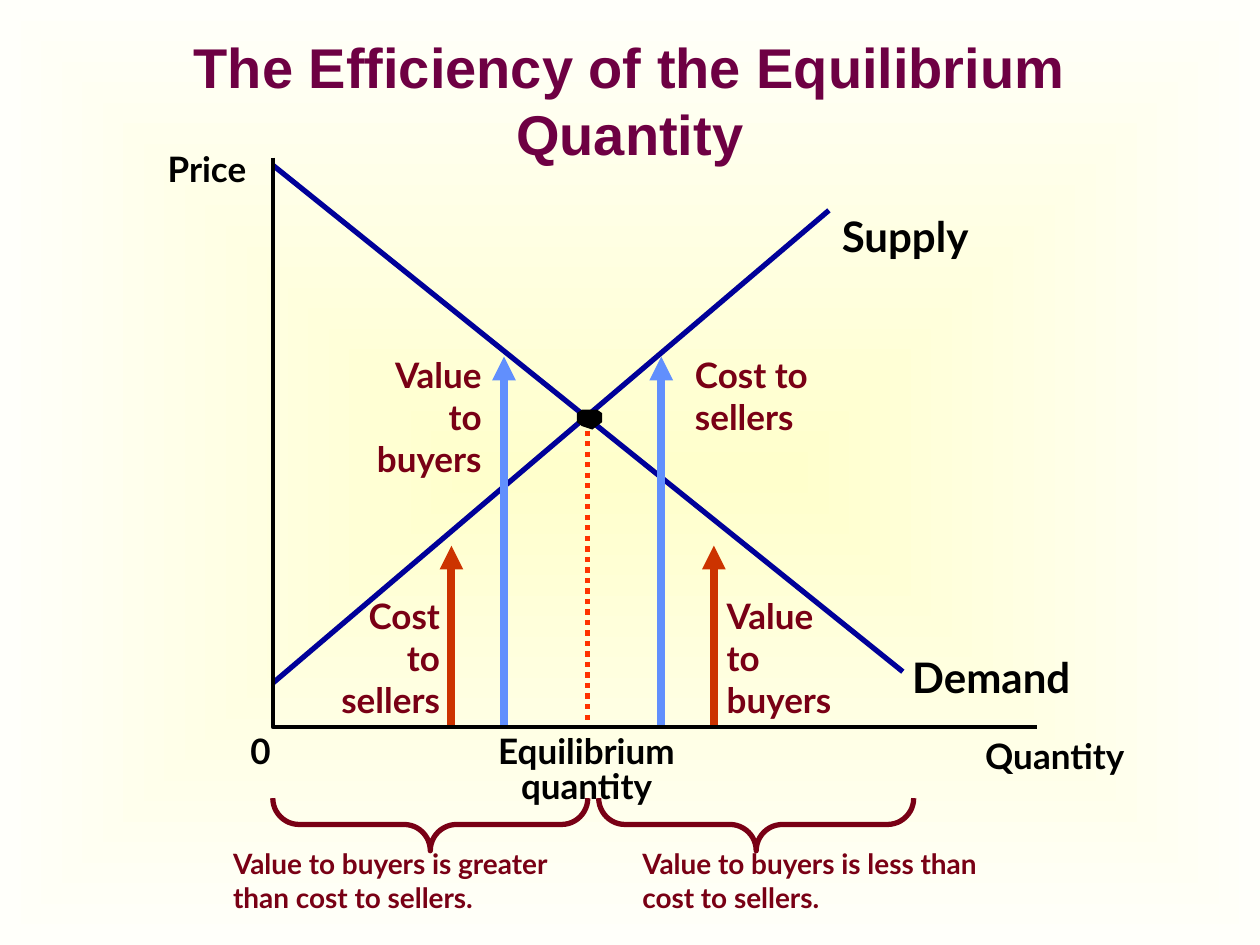
from lxml import etree
from pptx import Presentation
from pptx import util as u
from pptx.dml import color
from pptx.enum import dml, shapes, text
from pptx.oxml import ns

COLOURS = {
    "centre": "FFFFCC", "edge": "FFFFFA", "title": "6E0043", "black": "000000",
    "curve": "000099", "dotted": "FF3300", "tall": "618FFD", "short": "CC3300",
    "maroon": "790015",
}
ALIGN = text.PP_ALIGN


def rgb(name):
    """Return the named colour."""
    return color.RGBColor.from_string(COLOURS[name])


def add_child(parent, tag, **attributes):
    """Append a drawing element to the parent and return it."""
    return etree.SubElement(parent, ns.qn(tag), attributes)


def add_text(page, words, box, size=20, colour="black", font="Lato", align=ALIGN.LEFT,
             anchor=text.MSO_ANCHOR.TOP, insets=(0, 0, 0, 0), wrap=False, spacing=None):
    """Add bold text in a box of left, top, width and height in cm."""
    label = page.shapes.add_textbox(*map(u.Cm, box))
    frame = label.text_frame
    frame.word_wrap = wrap
    frame.vertical_anchor = anchor
    frame.margin_left, frame.margin_top, frame.margin_right, frame.margin_bottom = map(u.Cm, insets)
    for number, line in enumerate(words.split("\n")):
        para = frame.add_paragraph() if number else frame.paragraphs[0]
        para.alignment = align
        para.line_spacing = spacing
        span = para.add_run()
        span.text = line
        span.font.name, span.font.size, span.font.bold = font, u.Pt(size), True
        span.font.color.rgb = rgb(colour)


def add_line(page, start, end, colour, width, dash=None, arrow=False):
    """Add a straight line between two points in cm."""
    line = page.shapes.add_connector(
        shapes.MSO_CONNECTOR.STRAIGHT, *map(u.Cm, (*start, *end)))
    line.line.color.rgb = rgb(colour)
    line.line.width = u.Pt(width)
    if dash:
        line.line.dash_style = dash
    properties = line._element.spPr
    if arrow:
        add_child(properties.find(ns.qn("a:ln")), "a:tailEnd", type="triangle")
    add_child(properties, "a:effectLst")


def add_outline(page, points, closed):
    """Add a black freeform through points in cm, filled when closed."""
    start, *others = [(u.Cm(x), u.Cm(y)) for x, y in points]
    builder = page.shapes.build_freeform(*start)
    builder.add_line_segments(others, close=closed)
    outline = builder.convert_to_shape()
    outline.shadow.inherit = False
    if closed:
        outline.fill.solid()
        outline.fill.fore_color.rgb = rgb("black")
        outline.line.fill.background()
    else:
        outline.fill.background()
        outline.line.color.rgb = rgb("black")
        outline.line.width = u.Pt(2.25)


def paint_background(page):
    """Fill the page with a gradient that spreads from its centre."""
    fill = page.background.fill
    fill.gradient()
    for stop, name in zip(fill.gradient_stops, ("centre", "edge")):
        stop.color.rgb = rgb(name)
    gradient = page._element.find(".//" + ns.qn("a:gradFill"))
    gradient.remove(gradient.find(ns.qn("a:lin")))
    route = add_child(gradient, "a:path", path="rect")
    add_child(route, "a:fillToRect", l="50000", t="50000", r="50000", b="50000")


def draw_graph(page, left, top):
    """Draw axes, curves, arrows and labels from the top of the price axis."""
    def at(x, y):
        return left + x, top + y

    for words, x, y, width, size in (
            ("Price", -2.12, -0.21, 1.75, 20), ("0", -0.45, 11.53, 0.41, 20),
            ("Quantity", 14.36, 11.63, 3.15, 20), ("Supply", 11.47, 1.06, 2.84, 24),
            ("Demand", 12.89, 9.95, 3.56, 24)):
        add_text(page, words, (*at(x, y), width, size * 0.042), size=size)
    add_text(page, "Equilibrium\nquantity", (*at(4.28, 11.65), 4.09, 1.45),
             align=ALIGN.CENTER, spacing=0.85)

    add_line(page, at(0, 10.59), at(11.21, 1.06), "curve", 3)
    add_line(page, at(0, 0.15), at(12.7, 10.36), "curve", 3)
    add_outline(page, [at(0, 0), at(0, 11.48), at(15.4, 11.48)], closed=False)
    dot = ((6.44, 5.48), (6.64, 5.33), (6.64, 5.15), (6.54, 5.08), (6.23, 5.08),
           (6.13, 5.15), (6.13, 5.33), (6.23, 5.41))
    add_outline(page, [at(*point) for point in dot], closed=True)

    foot = 11.43
    add_line(page, at(6.35, 5.5), at(6.35, foot), "dotted", 3, dash=dml.MSO_LINE.ROUND_DOT)
    for x, head, colour in ((4.66, 4.01, "tall"), (7.83, 4.01, "tall"),
                            (3.6, 7.82, "short"), (8.89, 7.82, "short")):
        add_line(page, at(x, foot), at(x, head), colour, 4.5, arrow=True)

    for words, x, y, align, indent in (
            ("Cost to sellers", 8.26, 3.81, ALIGN.LEFT, 0.25),
            ("Value to buyers", 8.9, 8.68, ALIGN.LEFT, 0.25),
            ("Value to buyers", 1.49, 3.81, ALIGN.RIGHT, 0.25),
            ("Cost to sellers", 0.65, 8.68, ALIGN.RIGHT, 0.55)):
        add_text(page, words, (*at(x, y), 2.97, 2.79), colour="maroon", align=align,
                 insets=(indent, 0.13, 0.25, 0.13), wrap=True)


def draw_range(page, left, top, words, note_left):
    """Draw a brace that points down at a note."""
    depth, span = 1.06, 6.35
    brace = page.shapes.add_shape(
        shapes.MSO_SHAPE.LEFT_BRACE, u.Cm(left + (span - depth) / 2),
        u.Cm(top + (depth - span) / 2), u.Cm(depth), u.Cm(span))
    brace.rotation = 270
    brace.adjustments[0] = 0.5
    brace.shadow.inherit = False
    brace.fill.background()
    brace.line.color.rgb = rgb("maroon")
    brace.line.width = u.Pt(3)
    add_text(page, words, (note_left, top + 0.85, 7.82, 1.63), size=16, colour="maroon",
             insets=(0.25, 0.13, 0.25, 0.13), wrap=True)


def main():
    """Build the slide and save it."""
    deck = Presentation()
    deck.slide_width, deck.slide_height = u.Cm(25.4), u.Cm(19.05)
    page = deck.slides.add_slide(deck.slide_layouts[6])
    paint_background(page)
    draw_graph(page, 5.5, 3.18)
    draw_range(page, 5.5, 16.09, "Value to buyers is greater than cost to sellers.", 4.45)
    draw_range(page, 12.07, 16.09, "Value to buyers is less than cost to sellers.", 12.7)
    add_text(page, "The Efficiency of the Equilibrium Quantity", (1.27, 0.42, 22.86, 3.18),
             size=32, colour="title", font="Arial", align=ALIGN.CENTER,
             anchor=text.MSO_ANCHOR.MIDDLE, insets=(0.25, 0.13, 0.25, 0.13), wrap=True)
    deck.save("out.pptx")


if __name__ == "__main__":
    main()
